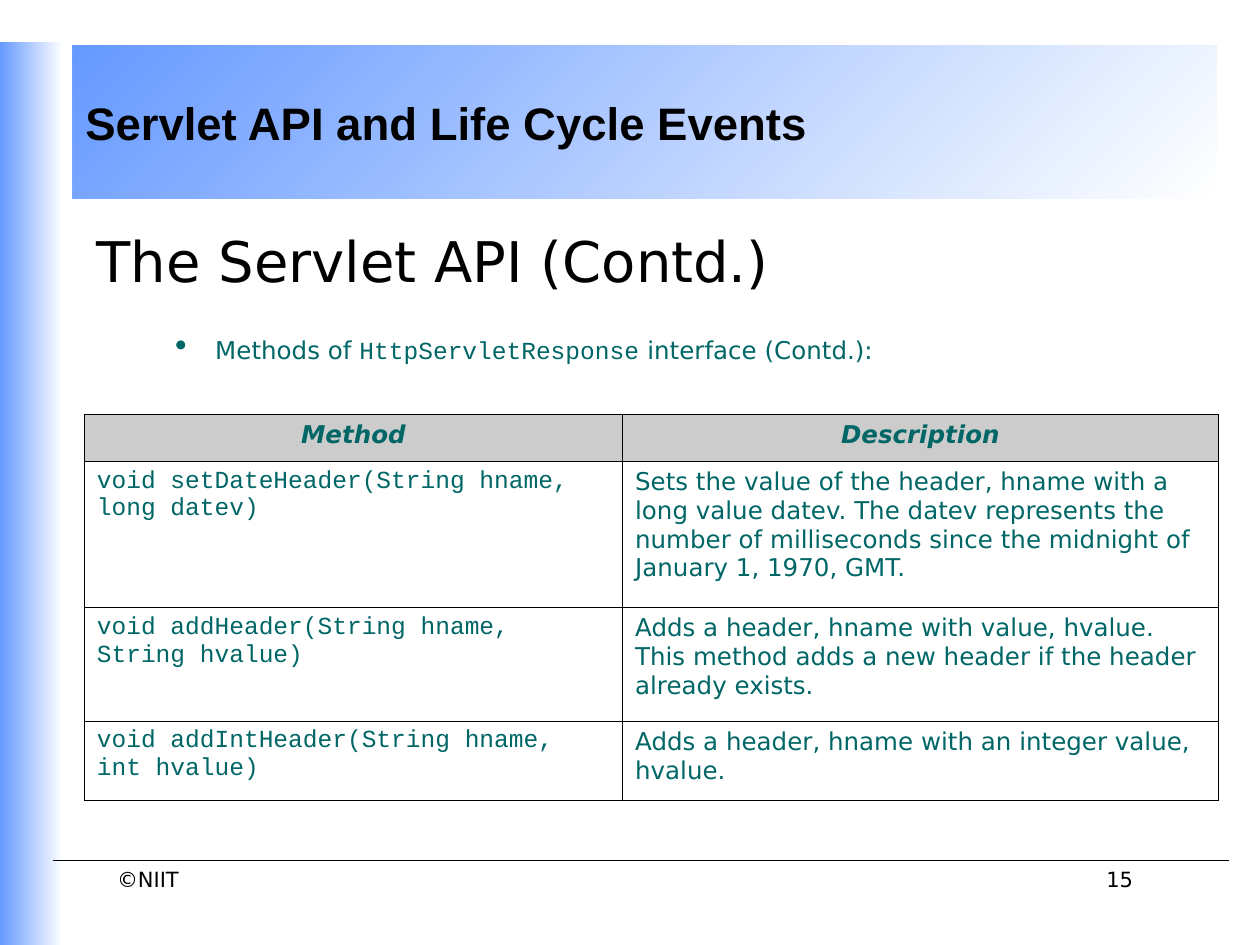
from lxml.etree import SubElement as Sub
from pptx import Presentation as Deck
from pptx.dml.color import RGBColor as Rgb
from pptx.enum.shapes import MSO_CONNECTOR as Link, MSO_SHAPE as Form
from pptx.enum.text import MSO_ANCHOR as Anchor, PP_ALIGN as Align
from pptx.oxml.ns import qn
from pptx.util import Cm, Pt

HUES = {"ink": "000000", "teal": "006666", "blue": "6699FF",
        "white": "FFFFFF", "grey": "CCCCCC"}
SANS, MONO, HEAD = "DejaVu Sans", "Courier New", "Arial"


class Page:
    def __init__(self, slide):
        self.slide = slide
        self.shapes = slide.shapes

    def hue(self, name):
        return Rgb.from_string(HUES[name])

    def run(self, para, text, size, face=SANS, hue="ink", bold=False, slant=False):
        run = para.add_run()
        run.text = text
        font = run.font
        font.size, font.name = Pt(size), face
        font.bold, font.italic = bold, slant
        font.color.rgb = self.hue(hue)

    def band(self, x, y, w, h, angle):
        shape = self.shapes.add_shape(Form.RECTANGLE, Cm(x), Cm(y), Cm(w), Cm(h))
        shape.shadow.inherit = False
        shape.line.fill.background()
        shape.fill.gradient()
        shape.fill.gradient_angle = angle
        for stop, hue in zip(shape.fill.gradient_stops, ("white", "blue")):
            stop.color.rgb = self.hue(hue)
        frame = shape.text_frame
        frame.word_wrap = True
        frame.vertical_anchor = Anchor.MIDDLE
        frame.paragraphs[0].alignment = Align.LEFT
        return frame

    def box(self, x, y, w, h, align=Align.LEFT):
        frame = self.shapes.add_textbox(Cm(x), Cm(y), Cm(w), Cm(h)).text_frame
        frame.word_wrap = True
        frame.paragraphs[0].alignment = align
        return frame

    def point(self, frame, parts, left, hang, gap):
        para = frame.add_paragraph()
        props = para._p.get_or_add_pPr()
        props.set("marL", str(Cm(left)))
        props.set("indent", str(-Cm(hang)))
        tint = Sub(props, qn("a:buClr"))
        Sub(tint, qn("a:srgbClr"), val=HUES["teal"])
        Sub(props, qn("a:buSzPct"), val="140000")
        Sub(props, qn("a:buChar"), char="•")
        para.space_before = Pt(gap)
        for text, face in parts:
            self.run(para, text, 14, face, "teal")

    def rule(self, x, y, end):
        line = self.shapes.add_connector(Link.STRAIGHT, Cm(x), Cm(y), Cm(end), Cm(y))
        line.line.color.rgb = self.hue("ink")
        line.line.width = Pt(0.75)
        Sub(line._element.spPr, qn("a:effectLst"))

    def edge(self, cell):
        props = cell._tc.get_or_add_tcPr()
        for side in ("lnL", "lnR", "lnT", "lnB"):
            line = Sub(props, qn("a:" + side), w=str(Pt(0.45)))
            fill = Sub(line, qn("a:solidFill"))
            Sub(fill, qn("a:srgbClr"), val=HUES["ink"])

    def table(self, x, y, wide, high, rows):
        grid = self.shapes.add_table(len(rows), len(wide), Cm(x), Cm(y),
                                     Cm(sum(wide)), Cm(sum(high))).table
        grid.first_row = grid.horz_banding = False
        for col, w in zip(grid.columns, wide):
            col.width = Cm(w)
        for r, (row, h) in enumerate(zip(rows, high)):
            grid.rows[r].height = Cm(h)
            top = r == 0
            for c, text in enumerate(row):
                cell = grid.cell(r, c)
                self.edge(cell)
                if top:
                    cell.fill.solid()
                    cell.fill.fore_color.rgb = self.hue("grey")
                else:
                    cell.fill.background()
                para = cell.text_frame.paragraphs[0]
                para.alignment = Align.CENTER if top else Align.LEFT
                face = SANS if top or c else MONO
                self.run(para, text, 14, face, "teal", top, top)


def main():
    deck = Deck()
    deck.slide_width, deck.slide_height = Cm(25.4), Cm(19.05)
    page = Page(deck.slides.add_slide(deck.slide_layouts[6]))

    foot = page.box(2.11, 17.35, 5.72, 1.07)
    page.run(foot.paragraphs[0], "©NIIT", 12)
    title = page.band(1.47, 0.91, 23.06, 3.1, 135)
    page.run(title.paragraphs[0], "Servlet API and Life Cycle Events", 26, HEAD, bold=True)
    page.band(0, 0.84, 1.27, 18.21, 180)

    body = page.box(1.7, 4.45, 22.43, 12.5)
    page.run(body.paragraphs[0], "The Servlet API (Contd.)", 32)
    page.point(body, [("Methods of ", SANS), ("HttpServletResponse", MONO),
                      (" interface (Contd.):", SANS)], 2.39, 0.81, 23.3)

    page.rule(1.07, 17.35, 24.77)
    page.table(1.7, 8.36, (10.85, 12.01), (0.94, 2.95, 2.29, 1.6), [
        ("Method", "Description"),
        ("void setDateHeader(String hname, long datev)",
         "Sets the value of the header, hname with a long value datev. "
         "The datev represents the number of milliseconds since the midnight "
         "of January 1, 1970, GMT."),
        ("void addHeader(String hname, String hvalue)",
         "Adds a header, hname with value, hvalue. This method adds a new "
         "header if the header already exists."),
        ("void addIntHeader(String hname, int hvalue)",
         "Adds a header, hname with an integer value, hvalue."),
    ])
    count = page.box(16.94, 17.35, 6.15, 1.27, Align.RIGHT)
    page.run(count.paragraphs[0], "15", 12)
    deck.save("out.pptx")


if __name__ == "__main__":
    main()
